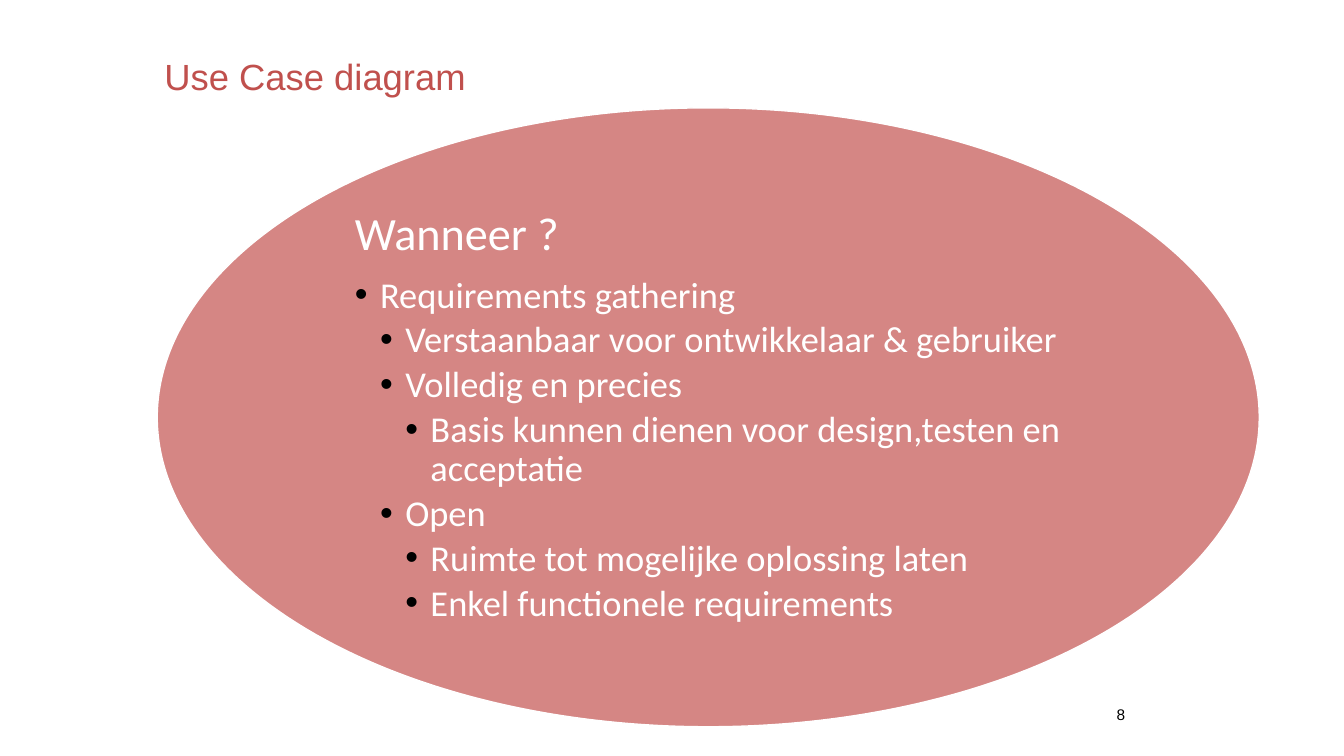
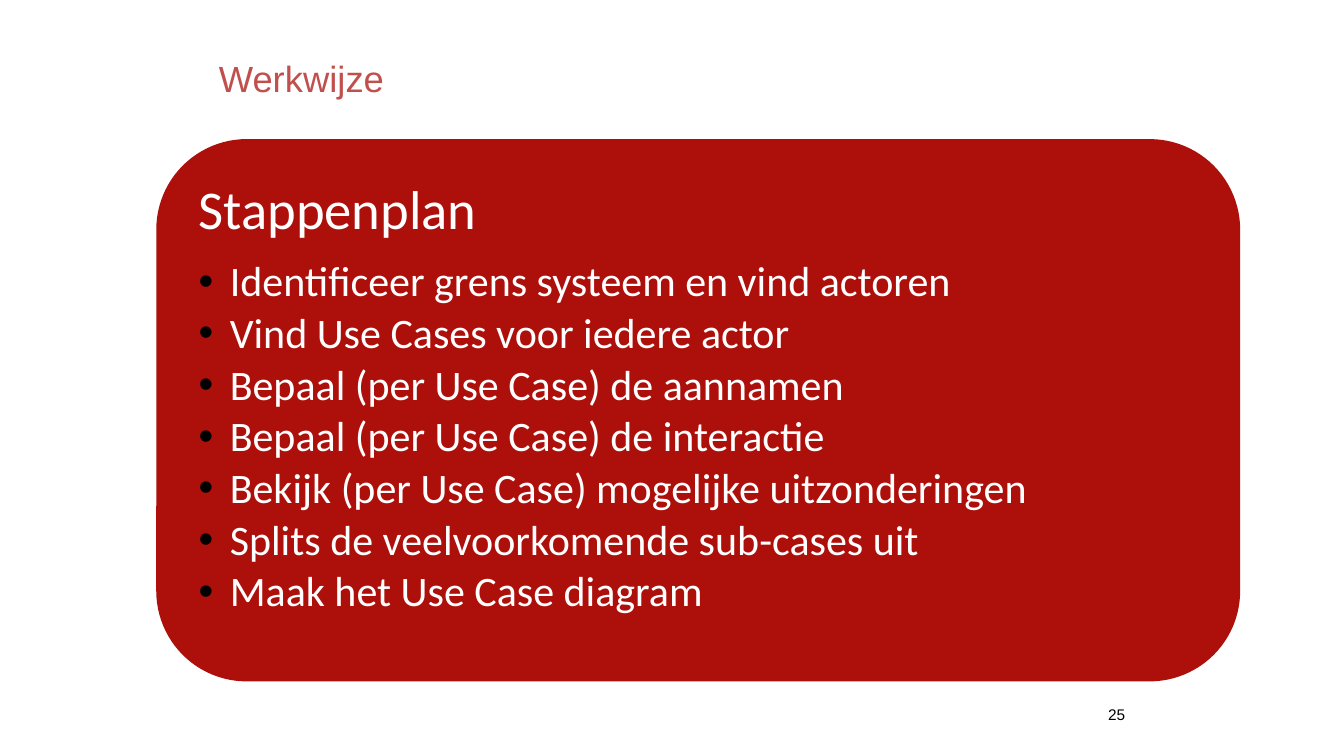
import dataclasses
import lxml.etree
import pptx
import pptx.dml.color
import pptx.enum.shapes
import pptx.enum.text
import pptx.oxml.ns
import pptx.util

SHAPE = pptx.enum.shapes.MSO_SHAPE
ANCHOR = pptx.enum.text.MSO_ANCHOR
ALIGN = pptx.enum.text.PP_ALIGN


@dataclasses.dataclass(frozen=True)
class Theme:
    accent: str = "C0504D"
    panel: str = "AD0F0A"
    light: str = "FFFFFF"
    dark: str = "000000"
    sans: str = "Arial"
    body: str = "Calibri"
    title: int = 26
    page: int = 11
    leading: float = 0.9
    head_gap: float = 0.35
    item_gap: float = 0.15


def px(n):
    return pptx.util.Emu(n * 9144)


def rgb(code):
    return pptx.dml.color.RGBColor.from_string(code)


def node(parent, tag, **attrs):
    return lxml.etree.SubElement(parent, pptx.oxml.ns.qn(tag), **attrs)


class Deck:
    """Hold the theme and the current slide, and draw each kind of element."""

    def __init__(self, theme):
        self.theme = theme
        self.prs = pptx.Presentation()
        self.prs.slide_width, self.prs.slide_height = px(1333), px(750)

    def start(self, title, left, top, page):
        self.slide = self.prs.slides.add_slide(self.prs.slide_layouts[6])
        self.title, self.left, self.top, self.page = title, left, top, page

    def frame(self, box, anchor=ANCHOR.MIDDLE, inset=0):
        frame = self.slide.shapes.add_textbox(*map(px, box)).text_frame
        frame.word_wrap = True
        frame.vertical_anchor = anchor
        frame.margin_left = frame.margin_right = px(inset)
        frame.margin_top = frame.margin_bottom = px(inset)
        return frame

    def style(self, para, text, size, face, color):
        para.text = text
        para.font.size = pptx.util.Pt(size)
        para.font.name = face
        para.font.color.rgb = rgb(color)

    def heading(self):
        para = self.frame((self.left, self.top, 900, 125)).paragraphs[0]
        self.style(para, self.title, self.theme.title, self.theme.sans, self.theme.accent)

    def number(self):
        para = self.frame((883, 683, 233, 52)).paragraphs[0]
        para.alignment = ALIGN.RIGHT
        self.style(para, str(self.page), self.theme.page, self.theme.sans, self.theme.dark)

    def panel(self, kind, box, alpha=100, edge=0):
        shape = self.slide.shapes.add_shape(kind, *map(px, box))
        shape.shadow.inherit = False
        shape.fill.solid()
        shape.fill.fore_color.rgb = rgb(self.theme.panel)
        if alpha < 100:
            color = shape.fill._xPr.find(".//" + pptx.oxml.ns.qn("a:srgbClr"))
            node(color, "a:alpha", val=str(alpha * 1000))
        if edge:
            shape.line.color.rgb = rgb(self.theme.light)
            shape.line.width = pptx.util.Pt(edge)
        else:
            shape.line.fill.background()

    def bullet(self, para, level, step):
        para.level = level
        props = para._p.get_or_add_pPr()
        props.set("marL", str(px(level * step)))
        props.set("indent", str(px(-step)))
        node(node(props, "a:buClr"), "a:srgbClr", val=self.theme.dark)
        node(props, "a:buFont", typeface=self.theme.sans)
        node(props, "a:buChar", char="•")

    def outline(self, frame, head, items, sizes, step):
        for row, (level, text) in enumerate([(0, head)] + items):
            para = frame.add_paragraph() if row else frame.paragraphs[0]
            size = sizes[1] if level else sizes[0]
            gap = self.theme.item_gap if level else self.theme.head_gap
            if level:
                self.bullet(para, level, step)
            para.line_spacing = self.theme.leading
            para.space_before = pptx.util.Pt(0)
            para.space_after = pptx.util.Pt(size * gap)
            self.style(para, text, size, self.theme.body, self.theme.light)


def main():
    deck = Deck(Theme())

    deck.start("Use Case diagram", 163, 13, 8)
    deck.heading()
    deck.panel(SHAPE.OVAL, (156, 107, 1093, 614), alpha=50, edge=1)
    needs = [
        (1, "Requirements gathering"),
        (2, "Verstaanbaar voor ontwikkelaar & gebruiker"),
        (2, "Volledig en precies"),
        (3, "Basis kunnen dienen voor design,testen en acceptatie"),
        (2, "Open"),
        (3, "Ruimte tot mogelijke oplossing laten"),
        (3, "Enkel functionele requirements"),
    ]
    deck.outline(deck.frame((352, 197, 737, 434)), "Wanneer ?", needs, (33, 26), 25)
    deck.number()

    deck.start("Werkwijze", 217, 15, 25)
    deck.heading()
    deck.panel(SHAPE.ROUNDED_RECTANGLE, (155, 138, 1075, 538))
    steps = [
        "Identificeer grens systeem en vind actoren",
        "Vind Use Cases voor iedere actor",
        "Bepaal (per Use Case) de aannamen",
        "Bepaal (per Use Case) de interactie",
        "Bekijk (per Use Case) mogelijke uitzonderingen",
        "Splits de veelvoorkomende sub-cases uit",
        "Maak het Use Case diagram",
    ]
    frame = deck.frame((181, 165, 1023, 485), ANCHOR.TOP, 16)
    deck.outline(frame, "Stappenplan", [(1, step) for step in steps], (39, 30), 31)
    deck.number()

    deck.prs.save("out.pptx")


if __name__ == "__main__":
    main()
